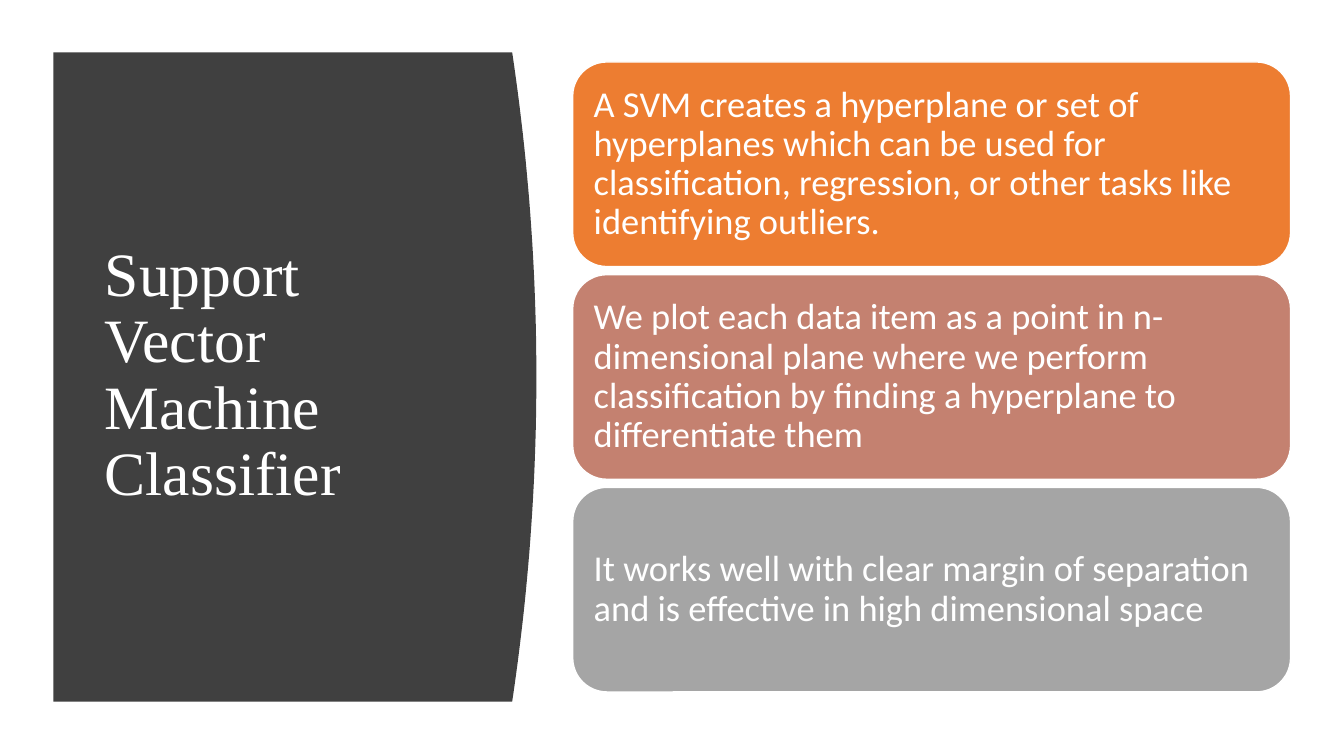
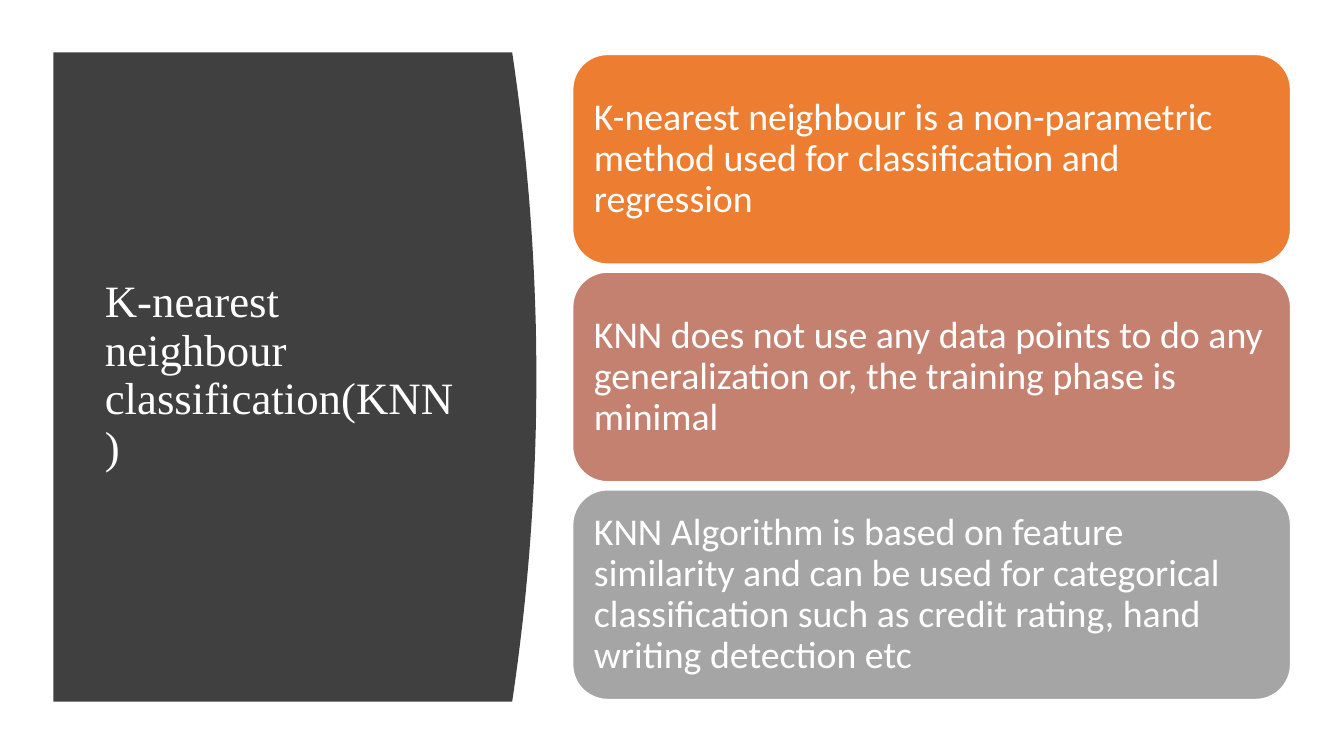
from dataclasses import dataclass

from pptx import Presentation
from pptx.dml.color import RGBColor
from pptx.enum.shapes import MSO_SHAPE
from pptx.enum.text import MSO_ANCHOR, MSO_AUTO_SIZE, PP_ALIGN
from pptx.util import Inches, Pt

ROUNDED = MSO_SHAPE.ROUNDED_RECTANGLE
MIDDLE = MSO_ANCHOR.MIDDLE
NO_AUTOFIT = MSO_AUTO_SIZE.NONE
LEFT = PP_ALIGN.LEFT
TITLE_ONLY = 5


@dataclass(frozen=True)
class Theme:
    white: RGBColor = RGBColor.from_string("FFFFFF")
    panel: RGBColor = RGBColor.from_string("404040")
    cards: tuple = tuple(map(RGBColor.from_string, ("ED7D31", "C48170", "A5A5A5")))
    title_font: str = "Times New Roman"
    body_font: str = "Calibri"
    title_large: int = 44
    title_small: int = 32
    body_small: int = 26
    body_large: int = 27
    line_spacing: float = 0.9


THEME = Theme()
PANEL_LEFT, PANEL_TOP, PANEL_EDGE = 0.53, 0.52, 5.08
PANEL_HEIGHT, PANEL_BULGE, CURVE_STEPS = 6.44, 0.24, 48
PANEL_MIDDLE = PANEL_TOP + PANEL_HEIGHT / 2
CARD_LEFT, CARD_WIDTH, CARD_GAP, CARD_INSET = 5.68, 7.12, 0.08, 0.11


class SlideBuilder:
    def __init__(self, deck, theme):
        self.deck = deck
        self.theme = theme
        self.page = None

    def new_page(self):
        self.page = self.deck.slides.add_slide(self.deck.slide_layouts[TITLE_ONLY])

    def set_text(self, box, text, font, size):
        frame = box.text_frame
        frame.text = text
        frame.word_wrap = True
        frame.auto_size = NO_AUTOFIT
        frame.vertical_anchor = MIDDLE
        paragraph = frame.paragraphs[0]
        paragraph.alignment = LEFT
        paragraph.line_spacing = self.theme.line_spacing
        paragraph.font.name = font
        paragraph.font.size = Pt(size)
        paragraph.font.color.rgb = self.theme.white

    def panel(self):
        points = []
        for step in range(CURVE_STEPS + 1):
            share = step / CURVE_STEPS
            bulge = PANEL_BULGE * (1 - (2 * share - 1) ** 2)
            points.append((Inches(PANEL_EDGE + bulge),
                           Inches(PANEL_TOP + PANEL_HEIGHT * share)))
        points.append((Inches(PANEL_LEFT), Inches(PANEL_TOP + PANEL_HEIGHT)))
        outline = self.page.shapes.build_freeform(Inches(PANEL_LEFT), Inches(PANEL_TOP))
        outline.add_line_segments(points, close=True)
        panel = outline.convert_to_shape()
        panel.shadow.inherit = False
        panel.fill.solid()
        panel.fill.fore_color.rgb = self.theme.panel
        panel.line.fill.background()
        self.page.shapes.title.element.addprevious(panel.element)

    def title(self, text, size):
        title = self.page.shapes.title
        title.left, title.top = Inches(0.94), Inches(1.11)
        title.width, title.height = Inches(3.74), Inches(5.24)
        self.set_text(title, text, self.theme.title_font, size)

    def card(self, text, top, height, color, size):
        card = self.page.shapes.add_shape(
            ROUNDED, Inches(CARD_LEFT), Inches(top), Inches(CARD_WIDTH), Inches(height))
        card.shadow.inherit = False
        card.fill.solid()
        card.fill.fore_color.rgb = color
        card.line.color.rgb = self.theme.white
        card.line.width = Pt(1)
        frame = card.text_frame
        frame.margin_left = frame.margin_right = Inches(CARD_INSET)
        frame.margin_top = frame.margin_bottom = Inches(CARD_INSET)
        self.set_text(card, text, self.theme.body_font, size)

    def card_stack(self, texts, height, size):
        pitch = height + CARD_GAP
        top = PANEL_MIDDLE - (len(texts) * pitch - CARD_GAP) / 2
        for index, (text, color) in enumerate(zip(texts, self.theme.cards)):
            self.card(text, top + index * pitch, height, color, size)

    def topic(self, title, title_size, texts, card_height, body_size):
        self.new_page()
        self.panel()
        self.title(title, title_size)
        self.card_stack(texts, card_height, body_size)


def main():
    deck = Presentation()
    deck.slide_width, deck.slide_height = Inches(13.33), Inches(7.5)
    builder = SlideBuilder(deck, THEME)
    builder.topic(
        "Support Vector Machine Classifier", THEME.title_large,
        ["A SVM creates a hyperplane or set of hyperplanes which can be used for "
         "classification, regression, or other tasks like identifying outliers.",
         "We plot each data item as a point in n-dimensional plane where we perform "
         "classification by finding a hyperplane to differentiate them",
         "It works well with clear margin of separation and is effective in high "
         "dimensional space"],
        2.03, THEME.body_small)
    builder.topic(
        "K-nearest neighbour classification(KNN)", THEME.title_small,
        ["K-nearest neighbour is a non-parametric method used for classification "
         "and regression",
         "KNN does not use any data points to do any generalization or, the training "
         "phase is minimal",
         "KNN Algorithm is based on feature similarity and can be used for categorical "
         "classification such as credit rating, hand writing detection etc"],
        2.08, THEME.body_large)
    deck.save("out.pptx")


if __name__ == "__main__":
    main()
